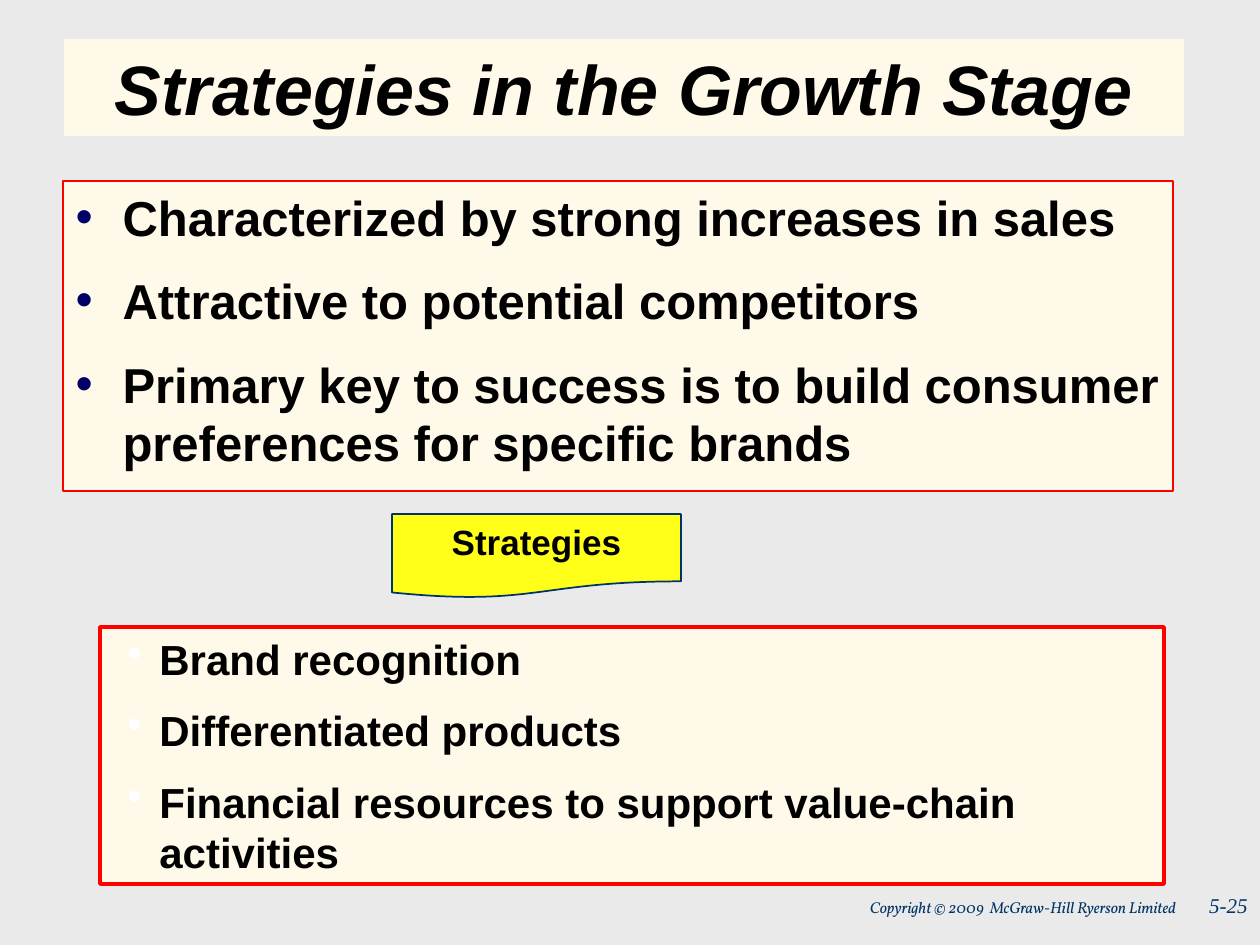
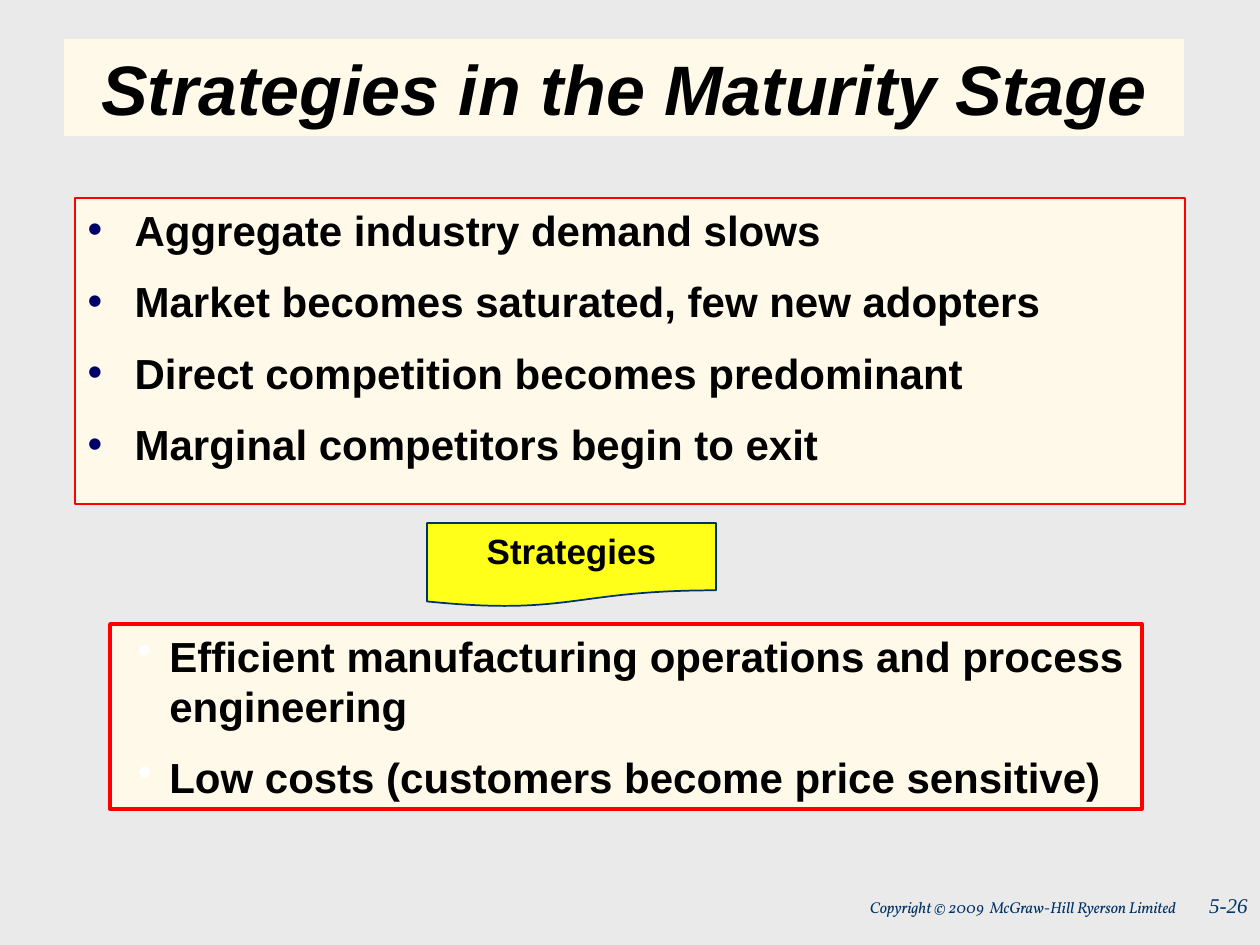
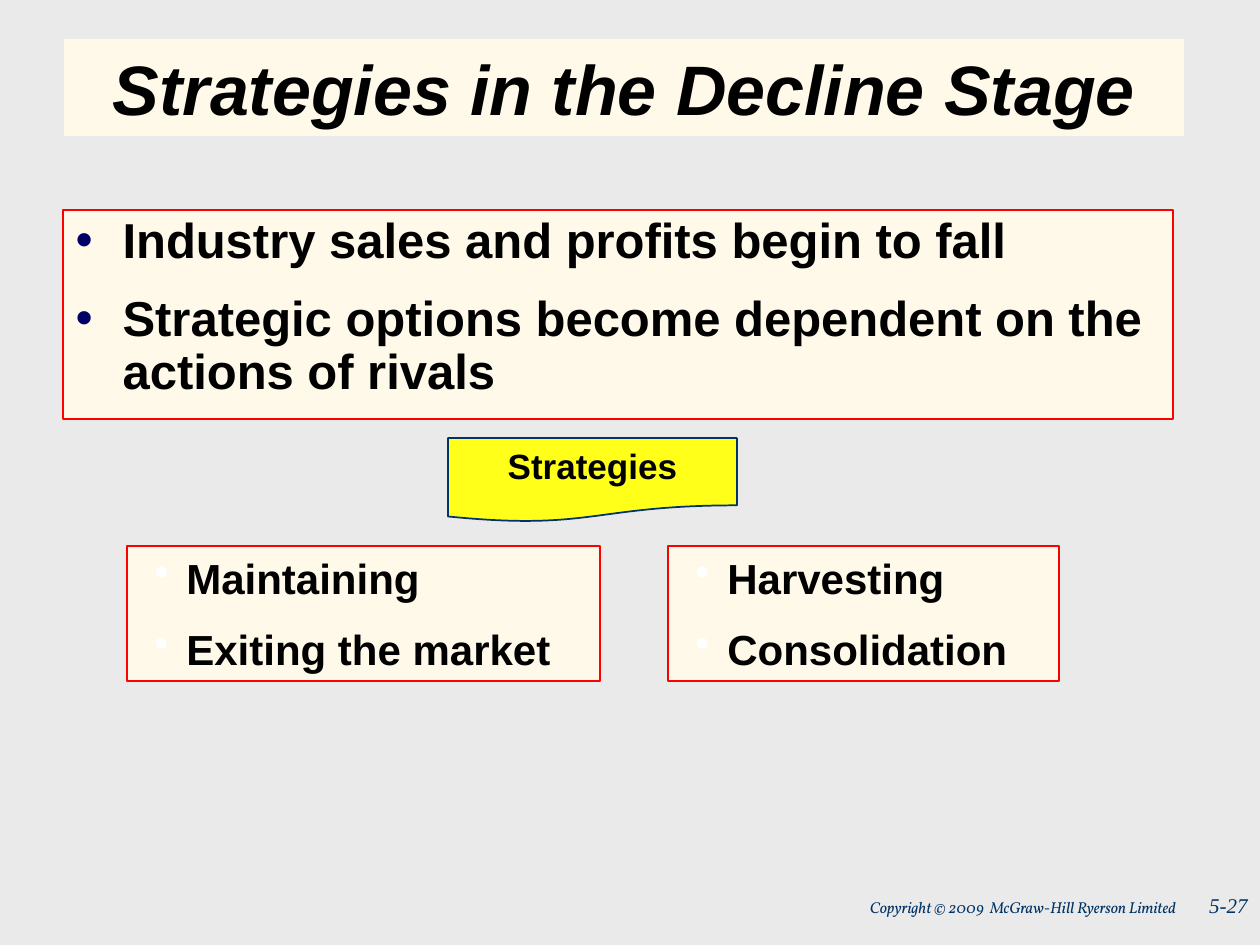
"""Build three slides on strategies in the growth, maturity and decline stages."""
from dataclasses import dataclass
from lxml import etree
from pptx import Presentation
from pptx.dml.color import RGBColor
from pptx.enum.shapes import MSO_SHAPE
from pptx.enum.text import MSO_ANCHOR, MSO_AUTO_SIZE, PP_ALIGN
from pptx.oxml.ns import qn
from pptx.util import Pt

RECT = MSO_SHAPE.RECTANGLE
DOC = MSO_SHAPE.FLOWCHART_DOCUMENT
TOP, BOTTOM = MSO_ANCHOR.TOP, MSO_ANCHOR.BOTTOM
LEFT, MID, RIGHT = PP_ALIGN.LEFT, PP_ALIGN.CENTER, PP_ALIGN.RIGHT
FIXED = MSO_AUTO_SIZE.NONE
PX = 914400 / 126


@dataclass(frozen=True)
class Theme:
    back: str = "EAEAEA"
    cream: str = "FFF9E9"
    red: str = "FF0000"
    yellow: str = "FFFF1A"
    navy: str = "003366"
    dot: str = "000066"
    white: str = "FFFFFF"
    black: str = "000000"
    sans: str = "Arial"
    serif: str = "Times New Roman"
    book: str = "Vollkorn"
    head: int = 40
    large: int = 28
    text: int = 24
    label: int = 20
    page: int = 12
    small: int = 9


theme = Theme()


def place(shape, box, fill=None, line=None, weight=1):
    """Set the place, fill and outline of a shape."""
    shape.left, shape.top, shape.width, shape.height = [round(n * PX) for n in box]
    if fill:
        shape.fill.solid()
        shape.fill.fore_color.rgb = RGBColor.from_string(fill)
    if line:
        shape.line.color.rgb = RGBColor.from_string(line)
        shape.line.width = Pt(weight)
    elif fill:
        shape.line.fill.background()


def write(shape, text, size, font=theme.sans, color=theme.black, bold=True, slant=False,
          align=LEFT, anchor=TOP, wrap=True, dot=None, hang=47, level=0, pitch=1.0):
    """Fill a shape with styled text, bulleted when a dot colour is given."""
    frame = shape.text_frame
    frame.text = text
    frame.auto_size = FIXED
    frame.word_wrap = wrap
    frame.vertical_anchor = anchor
    for i, para in enumerate(frame.paragraphs):
        if dot:
            props = para._p.get_or_add_pPr()
            props.set("marL", str(round(47 * PX)))
            props.set("indent", str(round(-hang * PX)))
            tint = etree.SubElement(props, qn("a:buClr"))
            etree.SubElement(tint, qn("a:srgbClr"), val=dot)
            etree.SubElement(props, qn("a:buChar"), char="•")
        para.level = level
        para.alignment = align
        para.line_spacing = pitch
        para.space_before = Pt(size / 2 if i else 0)
        for run in para.runs:
            run.font.name = font
            run.font.size = Pt(size)
            run.font.bold = bold
            run.font.italic = slant
            run.font.color.rgb = RGBColor.from_string(color)


stages = [
    dict(name="Growth", box=(63, 181, 1110, 310), size=theme.large, pitch=1.0,
         facts=["Characterized by strong increases in sales",
                "Attractive to potential competitors",
                "Primary key to success is to build consumer preferences for specific brands"],
         badge=(392, 514), weight=2,
         plans=[((100, 627, 1064, 257),
                 ["Brand recognition", "Differentiated products",
                  "Financial resources to support value-chain activities"])]),
    dict(name="Maturity", box=(75, 198, 1110, 306), size=theme.text, pitch=1.0,
         facts=["Aggregate industry demand slows",
                "Market becomes saturated, few new adopters",
                "Direct competition becomes predominant",
                "Marginal competitors begin to exit"],
         badge=(427, 523), weight=2,
         plans=[((110, 624, 1032, 185),
                 ["Efficient manufacturing operations and process engineering",
                  "Low costs (customers become price sensitive)"])]),
    dict(name="Decline", box=(63, 210, 1110, 209), size=theme.large, pitch=0.9,
         facts=["Industry sales and profits begin to fall",
                "Strategic options become dependent on the actions of rivals"],
         badge=(448, 438), weight=1,
         plans=[((127, 546, 473, 135), ["Maintaining", "Exiting the market"]),
                ((668, 546, 391, 135), ["Harvesting", "Consolidation"])]),
]

deck = Presentation()
deck.slide_width, deck.slide_height = round(1260 * PX), round(945 * PX)
ground = deck.slide_master.background.fill
ground.solid()
ground.fore_color.rgb = RGBColor.from_string(theme.back)

for page, stage in enumerate(stages, 25):
    slide = deck.slides.add_slide(deck.slide_layouts[1])
    shapes = slide.shapes

    feet = [((1050, 886, 210, 38), f"5-{page}", theme.page, theme.serif),
            ((611, 892, 577, 32), "Copyright © 2009  McGraw-Hill Ryerson Limited",
             theme.small, theme.book)]
    for box, text, size, font in feet:
        foot = shapes.add_textbox(0, 0, 0, 0)
        place(foot, box)
        write(foot, text, size, font, theme.navy, bold=False, slant=True, align=RIGHT)

    place(shapes.title, (64, 39, 1120, 97), theme.cream)
    write(shapes.title, f"Strategies in the {stage['name']} Stage", theme.head,
          slant=True, align=MID, anchor=BOTTOM)

    body = slide.placeholders[1]
    place(body, stage["box"], theme.cream, theme.red, 0.75)
    write(body, "\n".join(stage["facts"]), stage["size"], dot=theme.dot, pitch=stage["pitch"])

    for box, lines in stage["plans"]:
        plan = shapes.add_shape(RECT, 0, 0, 0, 0)
        plan.shadow.inherit = False
        place(plan, box, theme.cream, theme.red, stage["weight"])
        write(plan, "\n".join(lines), theme.text, dot=theme.white, hang=32, level=1)

    badge = shapes.add_shape(DOC, 0, 0, 0, 0)
    badge.shadow.inherit = False
    place(badge, (*stage["badge"], 289, 84), theme.yellow, theme.navy)
    write(badge, "Strategies", theme.label, align=MID, wrap=False)

deck.save("out.pptx")
